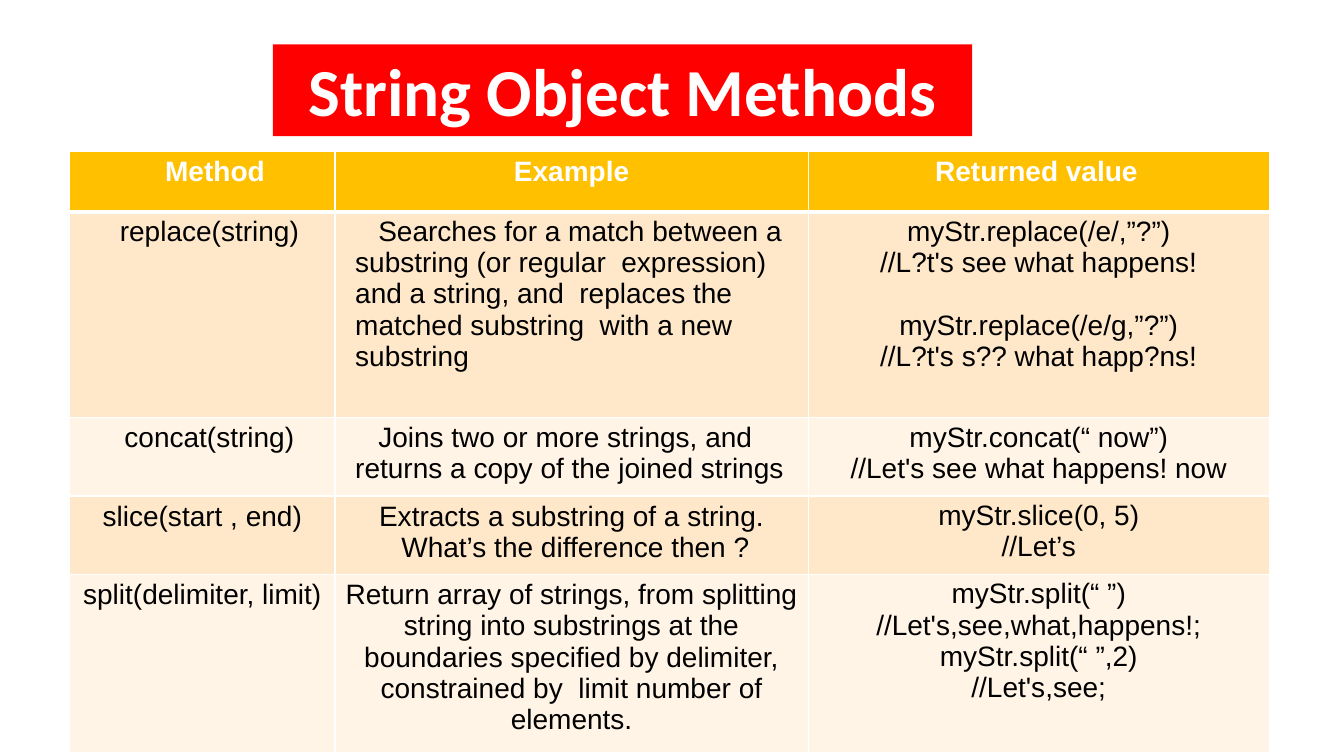
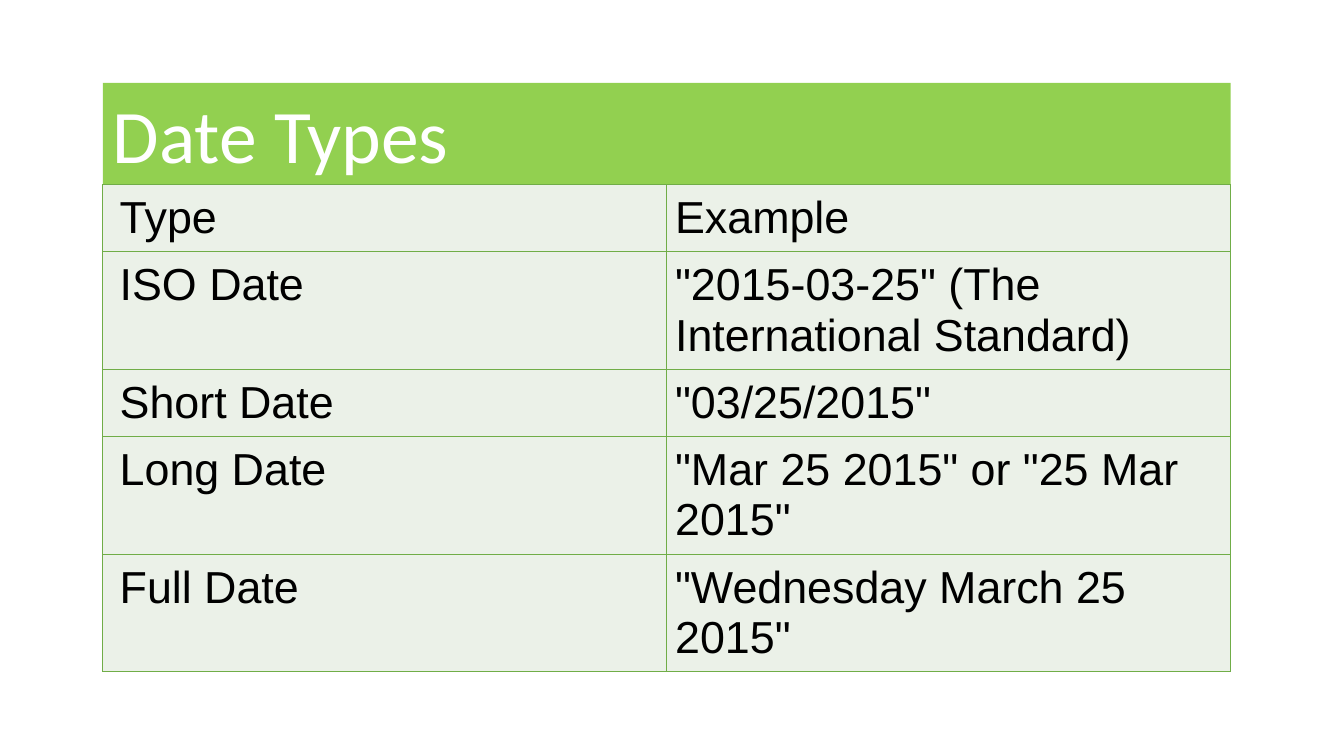
from dataclasses import dataclass
from typing import Optional

from lxml.etree import SubElement
from pptx import Presentation
from pptx.dml.color import RGBColor
from pptx.enum.text import MSO_ANCHOR, MSO_AUTO_SIZE, PP_ALIGN as Align
from pptx.oxml.ns import qn
from pptx.util import Pt

WHITE = RGBColor(0xFF, 0xFF, 0xFF)
BLACK = RGBColor(0x00, 0x00, 0x00)
RED = RGBColor(0xFF, 0x00, 0x00)
AMBER = RGBColor(0xFF, 0xC0, 0x00)
PEACH = RGBColor(0xFF, 0xE8, 0xCA)
CREAM = RGBColor(0xFF, 0xF4, 0xE6)
LIME = RGBColor(0x92, 0xD0, 0x50)
GREEN = RGBColor(0x70, 0xAD, 0x47)
MIST = RGBColor(0xEB, 0xF1, 0xE8)

TITLE_FONT = "Calibri"
BODY_FONT = "Arial"
TITLE_ONLY = 5
LINE_HEIGHT = 22.4


@dataclass(frozen=True)
class Banner:
    text: str
    left: float
    top: float
    width: float
    height: float
    fill: RGBColor
    size: float
    align: Align = Align.LEFT
    bold: bool = False


@dataclass(frozen=True)
class Layout:
    align: Align = Align.CENTER
    indent: float = 0
    first_line: float = 0
    margins: tuple[float, float, float, float] = (0, 3, 0, 0)


@dataclass(frozen=True)
class CellText:
    lines: tuple[str, ...]
    layout: Layout
    gap_before: Optional[int] = None


@dataclass(frozen=True)
class CellStyle:
    fill: RGBColor
    border: RGBColor
    size: float
    color: RGBColor = BLACK
    bold: bool = False
    bottom: float = 1


@dataclass(frozen=True)
class Row:
    height: float
    cells: tuple[CellText, ...]
    style: CellStyle


@dataclass(frozen=True)
class Grid:
    left: float
    top: float
    widths: tuple[float, ...]
    rows: tuple[Row, ...]


PADDED = (7.2, 3.6, 7.2, 3.6)
CENTERED = Layout()
CENTERED_PADDED = Layout(margins=PADDED)
METHOD_HEAD = Layout(indent=18)
VALUE_HEAD = Layout(Align.LEFT, indent=90.7)
METHOD_NAME = Layout(indent=38.9, first_line=-28.8)
DESCRIPTION = Layout(Align.LEFT, indent=14.4, first_line=16.5)
DATE_TYPE = Layout(Align.LEFT, margins=(12, 6, 6, 6))
DATE_EXAMPLE = Layout(Align.LEFT, margins=(6, 6, 6, 6))

HEADER = CellStyle(AMBER, WHITE, 20, WHITE, True, 3)
DARK_BAND = CellStyle(PEACH, WHITE, 20)
LIGHT_BAND = CellStyle(CREAM, WHITE, 20)
DATE_STYLE = CellStyle(MIST, GREEN, 32)

METHODS_BANNER = Banner("String Object Methods", 195, 31.7, 499.5, 65.5, RED, 48,
                        Align.CENTER, True)
DATES_BANNER = Banner("Date Types", 73.5, 59.2, 805.5, 72.7, LIME, 54)

METHODS_GRID = Grid(49.8, 108.3, (189.5, 338, 329.5), (
    Row(43, (
        CellText(("Method",), METHOD_HEAD),
        CellText(("Example",), CENTERED),
        CellText(("Returned value",), VALUE_HEAD),
    ), HEADER),
    Row(147, (
        CellText(("replace(string)",), METHOD_NAME),
        CellText(("Searches for a match between a  substring (or regular  expression) "
                  "and a string, and  replaces the matched substring  with a new "
                  "substring",), DESCRIPTION),
        CellText(("myStr.replace(/e/,”?”)", "//L?t's see what happens!",
                  "myStr.replace(/e/g,”?”)", "//L?t's s?? what happ?ns!"),
                 CENTERED, gap_before=2),
    ), DARK_BAND),
    Row(56, (
        CellText(("concat(string)",), METHOD_NAME),
        CellText(("Joins two or more strings, and  returns a copy of the joined "
                  "strings",), DESCRIPTION),
        CellText(("myStr.concat(“ now”)", "//Let's see what happens! now"), CENTERED),
    ), LIGHT_BAND),
    Row(56, (
        CellText(("slice(start , end)",), CENTERED_PADDED),
        CellText(("Extracts a substring of a string.", " What’s the difference then ?"),
                 CENTERED_PADDED),
        CellText(("myStr.slice(0, 5)", "//Let’s"), CENTERED),
    ), DARK_BAND),
    Row(127, (
        CellText(("split(delimiter, limit)",), CENTERED_PADDED),
        CellText(("Return array of strings, from splitting string into substrings at the "
                  "boundaries specified by delimiter, constrained by  limit number of "
                  "elements.",), CENTERED_PADDED),
        CellText(("myStr.split(“ ”)", "//Let's,see,what,happens!;",
                  "myStr.split(“ ”,2)", "//Let's,see;"), CENTERED),
    ), LIGHT_BAND),
))

DATES = (
    (48, "Type", "Example"),
    (84, "ISO Date", '"2015-03-25" (The International Standard)'),
    (48, "Short Date", '"03/25/2015"'),
    (84, "Long Date", '"Mar 25 2015" or "25 Mar 2015"'),
    (84, "Full Date", '"Wednesday March 25 2015"'),
)
DATES_GRID = Grid(73.5, 131.9, (402.75, 402.75), tuple(
    Row(height, (CellText((kind,), DATE_TYPE), CellText((example,), DATE_EXAMPLE)),
        DATE_STYLE)
    for height, kind, example in DATES
))


def add_span(para, text: str, font: str, size: float, color: RGBColor, bold: bool) -> None:
    span = para.add_run()
    span.text = text
    span.font.name = font
    span.font.size = Pt(size)
    span.font.bold = bold
    span.font.color.rgb = color


def draw_banner(page, banner: Banner) -> None:
    box = page.shapes.title
    box.left, box.top = Pt(banner.left), Pt(banner.top)
    box.width, box.height = Pt(banner.width), Pt(banner.height)
    box.fill.solid()
    box.fill.fore_color.rgb = banner.fill
    frame = box.text_frame
    frame.auto_size = MSO_AUTO_SIZE.NONE
    frame.word_wrap = True
    frame.vertical_anchor = MSO_ANCHOR.TOP
    para = frame.paragraphs[0]
    para.alignment = banner.align
    add_span(para, banner.text, TITLE_FONT, banner.size, WHITE, banner.bold)


def set_borders(cell, style: CellStyle, top: float) -> None:
    properties = cell._tc.get_or_add_tcPr()
    sides = {"a:lnL": 1, "a:lnR": 1, "a:lnT": top, "a:lnB": style.bottom}
    for tag, width in sides.items():
        line = SubElement(properties, qn(tag), w=str(Pt(width)))
        fill = SubElement(line, qn("a:solidFill"))
        SubElement(fill, qn("a:srgbClr"), val=str(style.border))


def fill_cell(cell, content: CellText, style: CellStyle, top: float) -> None:
    set_borders(cell, style, top)
    cell.fill.solid()
    cell.fill.fore_color.rgb = style.fill
    layout = content.layout
    (cell.margin_left, cell.margin_top,
     cell.margin_right, cell.margin_bottom) = map(Pt, layout.margins)
    frame = cell.text_frame
    for index, text in enumerate(content.lines):
        para = frame.add_paragraph() if index else frame.paragraphs[0]
        para.alignment = layout.align
        properties = para._p.get_or_add_pPr()
        properties.set("marL", str(Pt(layout.indent)))
        properties.set("indent", str(Pt(layout.first_line)))
        if index == content.gap_before:
            para.space_before = Pt(LINE_HEIGHT)
        add_span(para, text, BODY_FONT, style.size, style.color, style.bold)


def draw_grid(page, grid: Grid) -> None:
    table = page.shapes.add_table(
        len(grid.rows), len(grid.widths), Pt(grid.left), Pt(grid.top),
        Pt(sum(grid.widths)), Pt(sum(row.height for row in grid.rows))).table
    table.first_row = table.horz_banding = False
    for column, width in zip(table.columns, grid.widths):
        column.width = Pt(width)
    top = 1
    for line, row in zip(table.rows, grid.rows):
        line.height = Pt(row.height)
        for cell, content in zip(line.cells, row.cells):
            fill_cell(cell, content, row.style, top)
        top = row.style.bottom


def main() -> None:
    deck = Presentation()
    deck.slide_width, deck.slide_height = Pt(960), Pt(540)
    for banner, grid in ((METHODS_BANNER, METHODS_GRID), (DATES_BANNER, DATES_GRID)):
        page = deck.slides.add_slide(deck.slide_layouts[TITLE_ONLY])
        draw_banner(page, banner)
        draw_grid(page, grid)
    deck.save("out.pptx")


if __name__ == "__main__":
    main()
